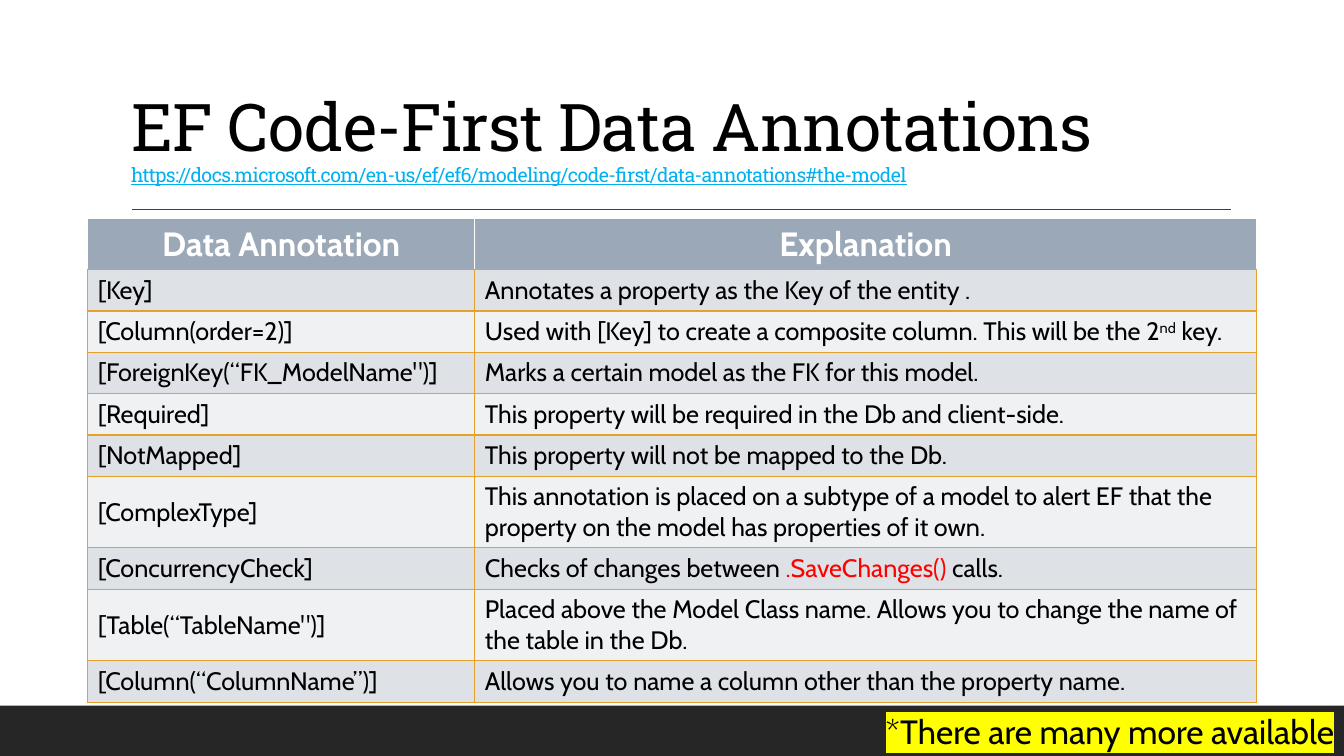
from lxml import etree
from pptx import Presentation
from pptx.dml.color import RGBColor
from pptx.enum.shapes import MSO_CONNECTOR, MSO_SHAPE
from pptx.enum.text import MSO_ANCHOR, MSO_AUTO_SIZE, PP_ALIGN
from pptx.oxml.ns import qn
from pptx.util import Inches, Pt

STRAIGHT = MSO_CONNECTOR.STRAIGHT
RECTANGLE = MSO_SHAPE.RECTANGLE
TOP, MIDDLE, BOTTOM = MSO_ANCHOR.TOP, MSO_ANCHOR.MIDDLE, MSO_ANCHOR.BOTTOM
NO_AUTOFIT, GROW = MSO_AUTO_SIZE.NONE, MSO_AUTO_SIZE.SHAPE_TO_FIT_TEXT
LEFT, CENTER, RIGHT = PP_ALIGN.LEFT, PP_ALIGN.CENTER, PP_ALIGN.RIGHT

COLORS = {
    "text": "000000", "white": "FFFFFF", "bar": "262626", "rule": "404040",
    "link": "00B0F0", "header": "9BA8B7", "odd": "DEE1E6", "even": "EFF1F3",
    "border": "E6A02E", "code": "FF0000", "marker": "FFFF00",
}
HEADINGS = ["Data Annotation", "Explanation"]
ANNOTATIONS = [
    ("[Key]", "Annotates a property as the Key of the entity ."),
    ("[Column(order=2)]", [
        ("Used with [Key] to create a composite column. This will be the 2", {}),
        ("nd", {"baseline": 30}),
        (" key.", {}),
    ]),
    ("[ForeignKey(“FK_ModelName\")]", "Marks a certain model as the FK for this model."),
    ("[Required]", "This property will be required in the Db and client-side."),
    ("[NotMapped]", "This property will not be mapped to the Db."),
    ("[ComplexType]", "This annotation is placed on a subtype of a model to alert EF "
                      "that the property on the model has properties of it own."),
    ("[ConcurrencyCheck]", [
        ("Checks of changes between ", {}),
        (".SaveChanges()", {"color": "code"}),
        (" calls.", {}),
    ]),
    ("[Table(“TableName\")]", "Placed above the Model Class name. Allows you to change "
                              "the name of the table in the Db."),
    ("[Column(“ColumnName”)]", "Allows you to name a column other than the property name."),
]


def rgb(name):
    return RGBColor.from_string(COLORS[name])


def add_text(para, text, size=18, font="Cabin", color="text", bold=False,
             underline=False, baseline=0, spacing=0, highlight=None):
    span = para.add_run()
    span.text = text
    span.font.size = Pt(size)
    span.font.name = font
    span.font.bold = bold
    span.font.underline = underline
    span.font.color.rgb = rgb(color)
    properties = span.font._element
    if baseline:
        properties.set("baseline", str(baseline * 1000))
    if spacing:
        properties.set("spc", str(int(spacing * 100)))
    if highlight:
        marker = etree.Element(qn("a:highlight"))
        etree.SubElement(marker, qn("a:srgbClr"), val=COLORS[highlight])
        properties.find(qn("a:solidFill")).addnext(marker)


class AnnotationSlide:
    def __init__(self, deck):
        self.heading_font = "Roboto Slab"
        self.page = deck.slides.add_slide(deck.slide_layouts[5])

    def bar(self, left, top, width, height):
        box = self.page.shapes.add_shape(
            RECTANGLE, Inches(left), Inches(top), Inches(width), Inches(height))
        box.shadow.inherit = False
        box.fill.solid()
        box.fill.fore_color.rgb = rgb("bar")
        box.line.fill.background()

    def rule(self, left, right, top):
        line = self.page.shapes.add_connector(
            STRAIGHT, Inches(left), Inches(top), Inches(right), Inches(top))
        line.line.color.rgb = rgb("rule")
        line.line.width = Pt(1)
        etree.SubElement(line._element.spPr, qn("a:effectLst"))

    def title(self, left, top, width, height, text, address):
        box = self.page.shapes.title
        box.left, box.top = Inches(left), Inches(top)
        box.width, box.height = Inches(width), Inches(height)
        frame = box.text_frame
        frame.auto_size = NO_AUTOFIT
        frame.vertical_anchor = BOTTOM
        para = frame.paragraphs[0]
        para.alignment = LEFT
        para.line_spacing = 0.9
        add_text(para, text, size=47, font=self.heading_font, spacing=-0.5)
        para.add_line_break()
        add_text(para, address, size=14, font=self.heading_font, color="link",
                 underline=True, spacing=-0.5)

    def borders(self, cell, sides):
        properties = cell._tc.get_or_add_tcPr()
        for index, side in enumerate(sides):
            line = etree.Element(qn(f"a:ln{side}"), w=str(Pt(1)))
            fill = etree.SubElement(line, qn("a:solidFill"))
            etree.SubElement(fill, qn("a:srgbClr"), val=COLORS["border"])
            properties.insert(index, line)

    def cell(self, cell, content, fill, align=LEFT, anchor=MIDDLE, sides="LRTB", **style):
        cell.fill.solid()
        cell.fill.fore_color.rgb = rgb(fill)
        cell.vertical_anchor = anchor
        self.borders(cell, sides)
        para = cell.text_frame.paragraphs[0]
        para.alignment = align
        spans = [(content, {})] if isinstance(content, str) else content
        for text, changes in spans:
            add_text(para, text, **{**style, **changes})

    def table(self, left, top, widths, row_height, headings, rows):
        count = len(rows) + 1
        grid = self.page.shapes.add_table(
            count, len(widths), Inches(left), Inches(top),
            Inches(sum(widths)), Inches(row_height * count)).table
        for column, width in zip(grid.columns, widths):
            column.width = Inches(width)
        for row in grid.rows:
            row.height = Inches(row_height)
        for column, heading in enumerate(headings):
            self.cell(grid.cell(0, column), heading, "header", align=CENTER, anchor=TOP,
                      sides="B", size=24, color="white", bold=True)
        for number, row in enumerate(rows, 1):
            for column, content in enumerate(row):
                self.cell(grid.cell(number, column), content, "odd" if number % 2 else "even")

    def note(self, left, top, width, height, text):
        box = self.page.shapes.add_textbox(
            Inches(left), Inches(top), Inches(width), Inches(height))
        frame = box.text_frame
        frame.word_wrap = True
        frame.auto_size = GROW
        para = frame.paragraphs[0]
        para.alignment = RIGHT
        add_text(para, text, size=24, highlight="marker")


def main():
    deck = Presentation()
    deck.slide_width, deck.slide_height = Inches(13.33), Inches(7.5)
    slide = AnnotationSlide(deck)
    slide.bar(0, 7, 13.33, 0.5)
    slide.rule(1.31, 12.21, 2.08)
    slide.title(1.2, 0.31, 11.3, 1.59, "EF Code-First Data Annotations",
                "https://docs.microsoft.com/en-us/ef/ef6/modeling/code-first/data-annotations#the-model")
    slide.table(0.87, 2.17, [3.84, 7.75], 0.41, HEADINGS, ANNOTATIONS)
    slide.note(7.91, 7, 5.42, 0.5, "*There are many more available")
    deck.save("out.pptx")


if __name__ == "__main__":
    main()
